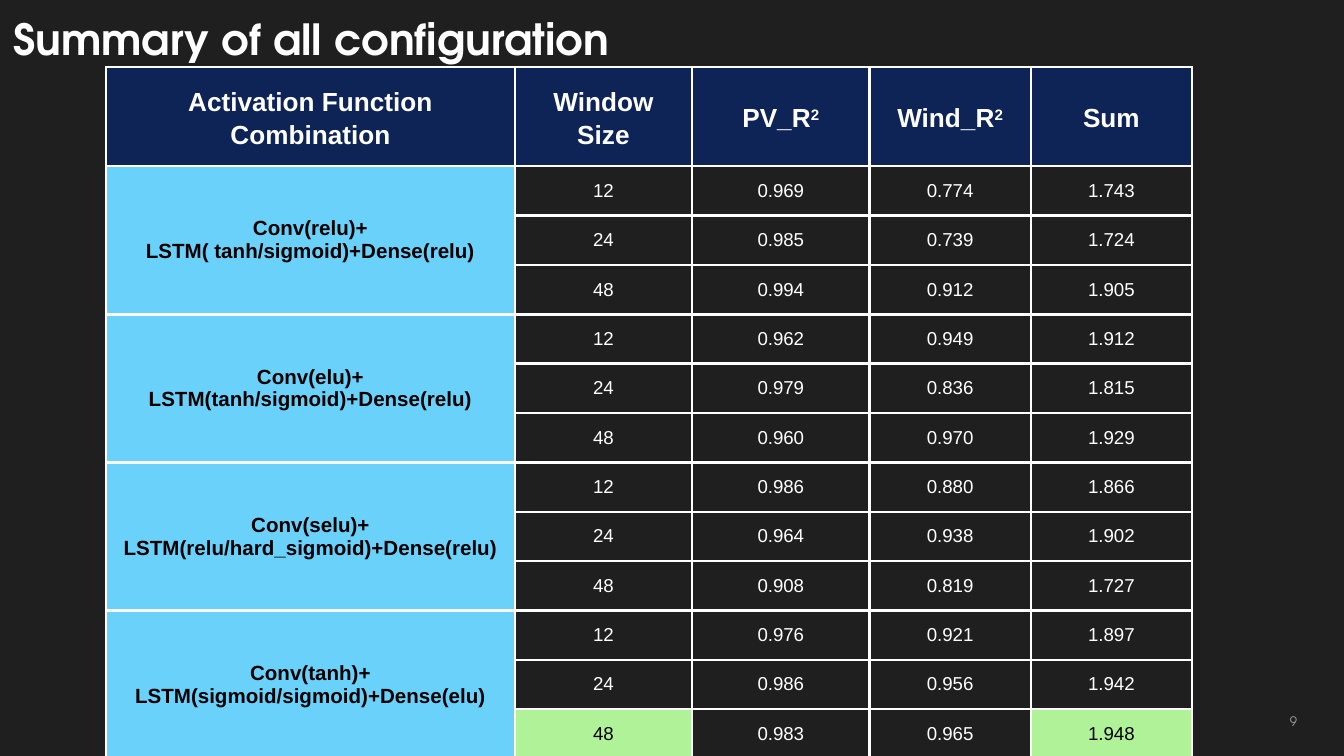
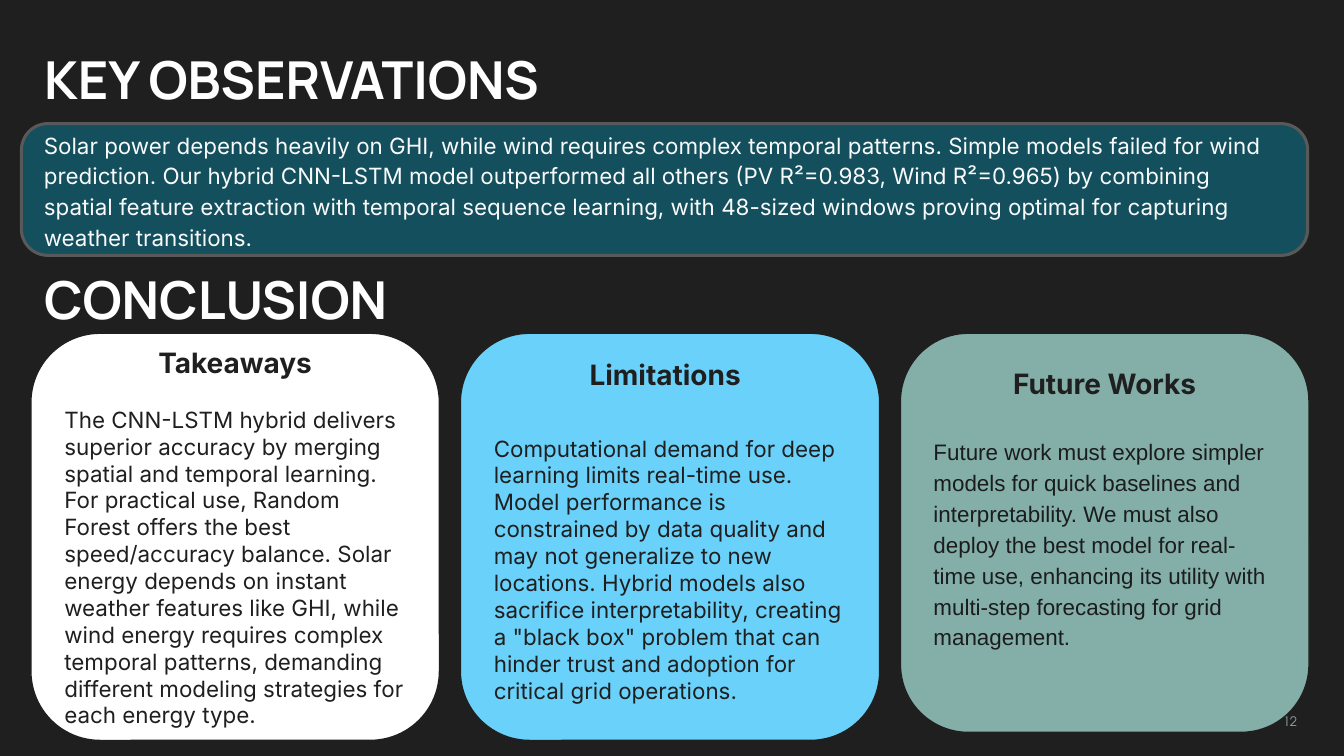
from dataclasses import dataclass, replace
from typing import Optional

import pptx
import pptx.dml.color
import pptx.enum.shapes
import pptx.enum.text
import pptx.oxml
import pptx.oxml.ns
import pptx.util
from lxml import etree

Pt = pptx.util.Pt
RGBColor = pptx.dml.color.RGBColor
PP_ALIGN = pptx.enum.text.PP_ALIGN
MSO_ANCHOR = pptx.enum.text.MSO_ANCHOR

BACKGROUND = RGBColor(0x1F, 0x1F, 0x1F)
WHITE = RGBColor(0xFF, 0xFF, 0xFF)
BLACK = RGBColor(0x00, 0x00, 0x00)
NAVY = RGBColor(0x0E, 0x24, 0x57)
SKY = RGBColor(0x6A, 0xD1, 0xFA)
LIGHT_GREEN = RGBColor(0xB0, 0xF2, 0x98)
TEAL = RGBColor(0x13, 0x4F, 0x5C)
SAGE = RGBColor(0x83, 0xAF, 0xA8)
GRAY = RGBColor(0x59, 0x59, 0x59)
NUMBER_GRAY = RGBColor(0x93, 0xA2, 0xA2)
OFF_WHITE = RGBColor(0xF9, 0xFA, 0xFB)
INK = RGBColor(0x1B, 0x1C, 0x1D)
INSET = 7.2


@dataclass(frozen=True)
class Box:
    left: float
    top: float
    width: float
    height: float

    def lengths(self) -> tuple:
        return Pt(self.left), Pt(self.top), Pt(self.width), Pt(self.height)


@dataclass(frozen=True)
class TextStyle:
    size: float
    font: str
    color: RGBColor
    bold: bool = False
    align: PP_ALIGN = PP_ALIGN.LEFT
    line_spacing: Optional[float] = None


@dataclass(frozen=True)
class Card:
    fill: RGBColor
    width: float
    height: float
    heading: str
    body: str
    body_style: TextStyle
    gap: float = 0
    top_inset: float = INSET
    bottom_inset: float = INSET
    anchor: MSO_ANCHOR = MSO_ANCHOR.MIDDLE


@dataclass(frozen=True)
class Configuration:
    name: str
    results: tuple


SLIDE_TITLE = TextStyle(23, "TeX Gyre Adventor", WHITE, True)
SECTION_TITLE = TextStyle(28, "Manrope", WHITE, True)
SLIDE_NUMBER = TextStyle(7, "TeX Gyre Adventor", NUMBER_GRAY, align=PP_ALIGN.RIGHT)
TABLE_HEADER = TextStyle(14, "Arial", WHITE, True, PP_ALIGN.CENTER, 1.15)
TABLE_NAME = TextStyle(11, "Arial", BLACK, True, PP_ALIGN.CENTER)
TABLE_VALUE = TextStyle(10, "Arial", WHITE, align=PP_ALIGN.CENTER)
TABLE_BEST = replace(TABLE_VALUE, color=BLACK)
OBSERVATION = TextStyle(12, "Inter", OFF_WHITE, line_spacing=1.15)
CARD_HEADING = TextStyle(15, "Inter", BACKGROUND, True, PP_ALIGN.CENTER)
CARD_BODY = TextStyle(12, "Inter", BACKGROUND)
FUTURE_BODY = TextStyle(12, "Arial", INK, line_spacing=1.15)

HEADERS = ("Activation Function Combination", "Window Size", "PV_R2", "Wind_R2", "Sum")
COLUMN_WIDTHS = (218.88, 95.04, 95.04, 86.4, 86.4)
HEADER_HEIGHT = 44.64
ROW_HEIGHT = 23.04
WINDOW_SIZES = ("12", "24", "48")
BEST_SUM = "1.948"
CONFIGURATIONS = (
    Configuration("Conv(relu)+\nLSTM( tanh/sigmoid)+Dense(relu)", (
        ("0.969", "0.774", "1.743"), ("0.985", "0.739", "1.724"), ("0.994", "0.912", "1.905"))),
    Configuration("Conv(elu)+\nLSTM(tanh/sigmoid)+Dense(relu)", (
        ("0.962", "0.949", "1.912"), ("0.979", "0.836", "1.815"), ("0.960", "0.970", "1.929"))),
    Configuration("Conv(selu)+\nLSTM(relu/hard_sigmoid)+Dense(relu)", (
        ("0.986", "0.880", "1.866"), ("0.964", "0.938", "1.902"), ("0.908", "0.819", "1.727"))),
    Configuration("Conv(tanh)+\nLSTM(sigmoid/sigmoid)+Dense(elu)", (
        ("0.976", "0.921", "1.897"), ("0.986", "0.956", "1.942"), ("0.983", "0.965", BEST_SUM))),
)

OBSERVATION_TEXT = (
    "Solar power depends heavily on GHI, while wind requires complex temporal patterns. "
    "Simple models failed for wind prediction. Our hybrid CNN-LSTM model outperformed all "
    "others (PV R²=0.983, Wind R²=0.965) by combining spatial feature extraction with "
    "temporal sequence learning, with 48-sized windows proving optimal for capturing "
    "weather transitions."
)
CARDS_LEFT = 16.56
CARDS_TOP = 178.56
CARD_GAP = 11.16
CARDS = (
    Card(WHITE, 218.88, 218.16, "Takeaways",
         "The CNN-LSTM hybrid delivers superior accuracy by merging spatial and temporal "
         "learning. For practical use, Random Forest offers the best speed/accuracy balance. "
         "Solar energy depends on instant weather features like GHI, while wind energy "
         "requires complex temporal patterns, demanding different modeling strategies for "
         "each energy type.", CARD_BODY, gap=14.5),
    Card(SKY, 224.64, 218.16, "",
         "Computational demand for deep learning limits real-time use. Model performance is "
         "constrained by data quality and may not generalize to new locations. Hybrid models "
         "also sacrifice interpretability, creating a \"black box\" problem that can hinder "
         "trust and adoption for critical grid operations.", CARD_BODY,
         top_inset=43.5, anchor=MSO_ANCHOR.TOP),
    Card(SAGE, 218.88, 213.84, "Future Works",
         "Future work must explore simpler models for quick baselines and interpretability. "
         "We must also deploy the best model for real-time use, enhancing its utility with "
         "multi-step forecasting for grid management.", FUTURE_BODY, gap=18, bottom_inset=33),
)


def style_paragraph(paragraph, style: TextStyle) -> None:
    paragraph.alignment = style.align
    if style.line_spacing:
        paragraph.line_spacing = style.line_spacing
    for run in paragraph.runs:
        run.font.size = Pt(style.size)
        run.font.name = style.font
        run.font.bold = style.bold
        run.font.color.rgb = style.color


def set_insets(target, top: float = INSET, bottom: float = INSET, side: float = INSET) -> None:
    target.margin_left = target.margin_right = Pt(side)
    target.margin_top = Pt(top)
    target.margin_bottom = Pt(bottom)


def add_text(slide, box: Box, text: str, style: TextStyle) -> None:
    text_frame = slide.shapes.add_textbox(*box.lengths()).text_frame
    text_frame.word_wrap = True
    set_insets(text_frame)
    text_frame.text = text
    style_paragraph(text_frame.paragraphs[0], style)


def add_panel(slide, box: Box, fill: RGBColor, line: RGBColor, line_width: float,
              radius: float):
    shape = slide.shapes.add_shape(
        pptx.enum.shapes.MSO_SHAPE.ROUNDED_RECTANGLE, *box.lengths())
    shape.shadow.inherit = False
    shape.adjustments[0] = radius
    shape.fill.solid()
    shape.fill.fore_color.rgb = fill
    shape.line.color.rgb = line
    shape.line.width = Pt(line_width)
    shape.text_frame.word_wrap = True
    return shape


def add_card(slide, card: Card, left: float) -> None:
    box = Box(left, CARDS_TOP, card.width, card.height)
    text_frame = add_panel(slide, box, card.fill, BACKGROUND, 0.75, 0.17).text_frame
    text_frame.vertical_anchor = card.anchor
    set_insets(text_frame, card.top_inset, card.bottom_inset)
    if card.heading:
        text_frame.text = f"{card.heading}\n{card.body}"
        style_paragraph(text_frame.paragraphs[0], CARD_HEADING)
        text_frame.paragraphs[1].space_before = Pt(card.gap)
    else:
        text_frame.text = card.body
    style_paragraph(text_frame.paragraphs[-1], card.body_style)


def set_borders(cell) -> None:
    properties = cell._tc.get_or_add_tcPr()
    for position, side in enumerate(("lnL", "lnR", "lnT", "lnB")):
        border = etree.Element(pptx.oxml.ns.qn(f"a:{side}"), w=str(Pt(1.5)))
        fill = etree.SubElement(border, pptx.oxml.ns.qn("a:solidFill"))
        etree.SubElement(fill, pptx.oxml.ns.qn("a:srgbClr"), val=str(WHITE))
        properties.insert(position, border)


def fill_cell(cell, text: str, style: TextStyle, fill: Optional[RGBColor] = None) -> None:
    cell.text_frame.text = text
    cell.vertical_anchor = MSO_ANCHOR.MIDDLE
    set_insets(cell)
    for paragraph in cell.text_frame.paragraphs:
        style_paragraph(paragraph, style)
    if fill is None:
        cell.fill.background()
    else:
        cell.fill.solid()
        cell.fill.fore_color.rgb = fill


def fill_header(cell, text: str) -> None:
    base = text.removesuffix("2")
    fill_cell(cell, base, TABLE_HEADER, NAVY)
    if base != text:
        paragraph = cell.text_frame.paragraphs[0]
        exponent = paragraph.add_run()
        exponent.text = "2"
        style_paragraph(paragraph, TABLE_HEADER)
        exponent._r.get_or_add_rPr().set("baseline", "30000")


def add_results_table(slide) -> None:
    row_count = 1 + len(CONFIGURATIONS) * len(WINDOW_SIZES)
    box = Box(56.88, 36, sum(COLUMN_WIDTHS), HEADER_HEIGHT + (row_count - 1) * ROW_HEIGHT)
    table = slide.shapes.add_table(row_count, len(HEADERS), *box.lengths()).table
    table.horz_banding = False
    for column, width in zip(table.columns, COLUMN_WIDTHS):
        column.width = Pt(width)
    for index, row in enumerate(table.rows):
        row.height = Pt(ROW_HEIGHT if index else HEADER_HEIGHT)
    for index, header in enumerate(HEADERS):
        fill_header(table.cell(0, index), header)
    for group, configuration in enumerate(CONFIGURATIONS):
        first = 1 + group * len(WINDOW_SIZES)
        name_cell = table.cell(first, 0)
        name_cell.merge(table.cell(first + len(WINDOW_SIZES) - 1, 0))
        fill_cell(name_cell, configuration.name, TABLE_NAME, SKY)
        for offset, (window, result) in enumerate(zip(WINDOW_SIZES, configuration.results)):
            for column, value in enumerate((window, *result), start=1):
                best = result[-1] == BEST_SUM and column in (1, 4)
                fill_cell(table.cell(first + offset, column), value,
                          TABLE_BEST if best else TABLE_VALUE, LIGHT_GREEN if best else None)
    for cell in table.iter_cells():
        set_borders(cell)


def add_slide(presentation, number: int):
    slide = presentation.slides.add_slide(presentation.slide_layouts[6])
    slide.background.fill.solid()
    slide.background.fill.fore_color.rgb = BACKGROUND
    add_text(slide, Box(529.2, 378, 172.8, 23.04), str(number), SLIDE_NUMBER)
    return slide


def build_summary(presentation) -> None:
    slide = add_slide(presentation, 9)
    add_results_table(slide)
    add_text(slide, Box(0, -0.72, 348.48, 43.92), "Summary of all configuration", SLIDE_TITLE)


def build_conclusion(presentation) -> None:
    slide = add_slide(presentation, 12)
    for title, top in (("KEY OBSERVATIONS", 18), ("CONCLUSION", 136.08)):
        add_text(slide, Box(CARDS_LEFT, top, 449.28, 48.24), title, SECTION_TITLE)
    panel = add_panel(slide, Box(11.52, 66.24, 689.04, 70.56), TEAL, GRAY, 1.65, 0.2)
    panel.text_frame.vertical_anchor = MSO_ANCHOR.MIDDLE
    set_insets(panel.text_frame, 7.92, 7.92, 7.92)
    panel.text_frame.text = OBSERVATION_TEXT
    style_paragraph(panel.text_frame.paragraphs[0], OBSERVATION)
    left = CARDS_LEFT
    for card in CARDS:
        add_card(slide, card, left)
        left += card.width + CARD_GAP
    add_text(slide, Box(298.8, 184.32, 115.2, 25.92), "Limitations", CARD_HEADING)


def main() -> None:
    presentation = pptx.Presentation()
    presentation.slide_width = Pt(720)
    presentation.slide_height = Pt(405)
    build_summary(presentation)
    build_conclusion(presentation)
    presentation.save("out.pptx")


if __name__ == "__main__":
    main()
